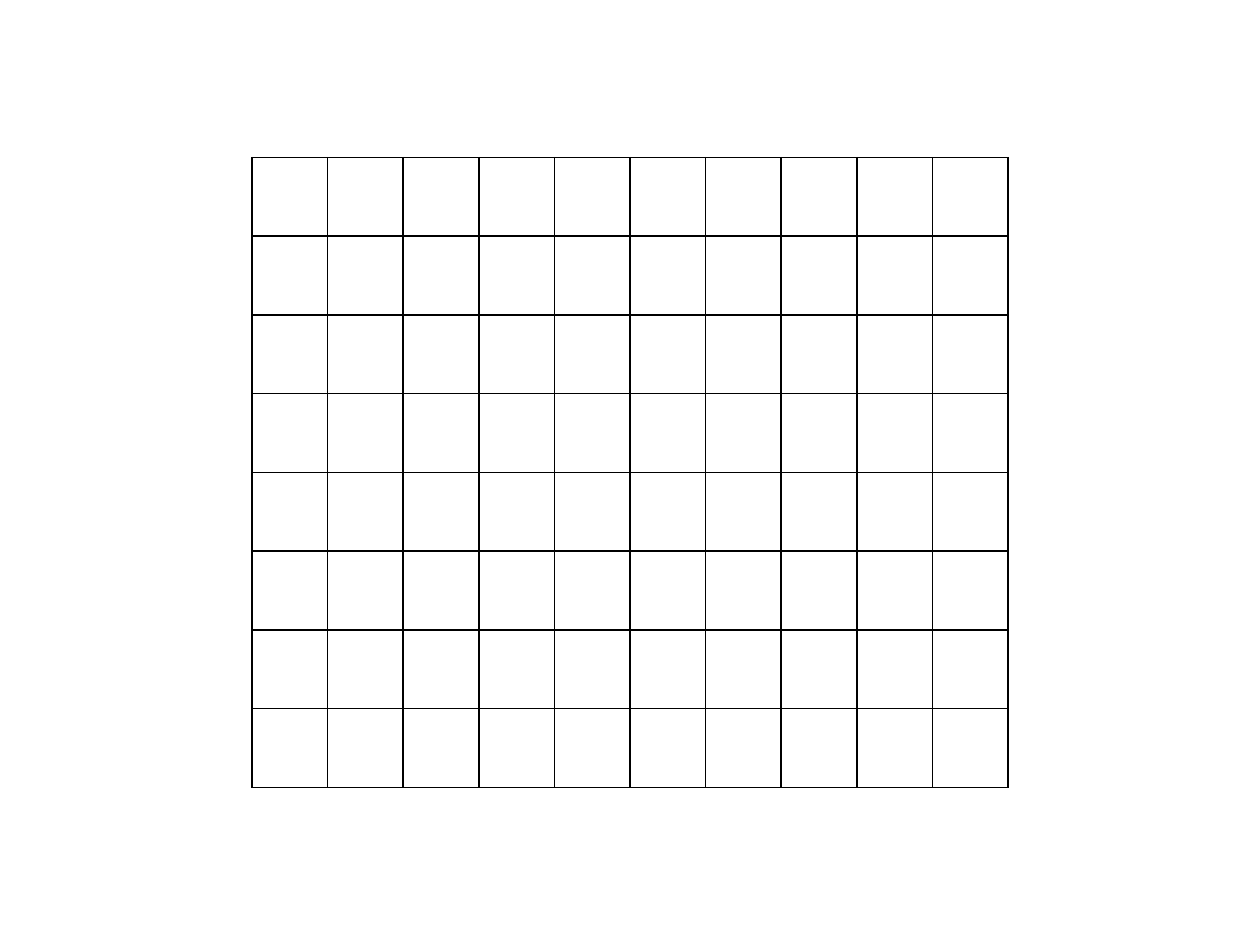
"""Build a slide with an empty, evenly ruled grid."""
from lxml import etree
from pptx import Presentation
from pptx.oxml.ns import qn
from pptx.util import Pt

ROWS, COLUMNS = 8, 10
LEFT, TOP, WIDTH, HEIGHT = 144, 90, 432, 360
BORDER_COLOR, BORDER_WIDTH = "000000", 1
BORDER_SIDES = ("a:lnL", "a:lnR", "a:lnT", "a:lnB")


def add_borders(cell, color, width):
    """Rule all four sides of a cell."""
    properties = cell._tc.get_or_add_tcPr()
    for position, side in enumerate(BORDER_SIDES):
        line = etree.Element(qn(side), w=str(Pt(width)))
        fill = etree.SubElement(line, qn("a:solidFill"))
        etree.SubElement(fill, qn("a:srgbClr"), val=color)
        properties.insert(position, line)


def add_grid(page):
    """Add the table with equal rows and columns."""
    frame = page.shapes.add_table(
        ROWS, COLUMNS, Pt(LEFT), Pt(TOP), Pt(WIDTH), Pt(HEIGHT)
    )
    table = frame.table
    table.first_row = False
    table.horz_banding = False
    for cell in table.iter_cells():
        cell.fill.background()
        cell.text_frame.paragraphs[0].font.name = "Calibri"
        add_borders(cell, BORDER_COLOR, BORDER_WIDTH)


def main():
    """Create and save the deck."""
    deck = Presentation()
    deck.slide_width, deck.slide_height = Pt(720), Pt(540)
    page = deck.slides.add_slide(deck.slide_layouts[6])
    add_grid(page)
    deck.save("out.pptx")


if __name__ == "__main__":
    main()
